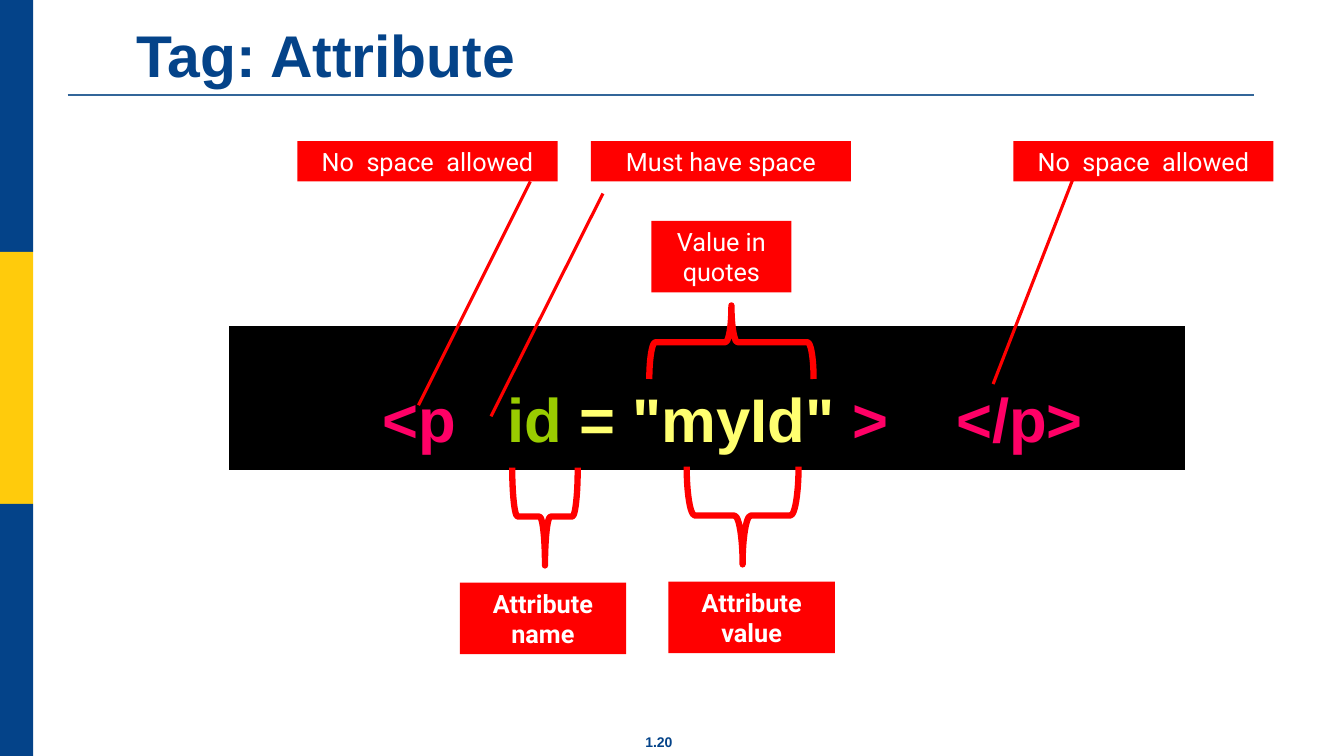
from pptx import Presentation
from pptx.dml.color import RGBColor
from pptx.enum.shapes import MSO_CONNECTOR, MSO_SHAPE
from pptx.enum.text import MSO_ANCHOR, MSO_AUTO_SIZE, PP_ALIGN
from pptx.oxml.ns import qn
from pptx.util import Inches, Pt
from lxml import etree

RECTANGLE, BRACE = MSO_SHAPE.RECTANGLE, MSO_SHAPE.RIGHT_BRACE
STRAIGHT = MSO_CONNECTOR.STRAIGHT
LEFT, CENTER = PP_ALIGN.LEFT, PP_ALIGN.CENTER
TOP, MIDDLE = MSO_ANCHOR.TOP, MSO_ANCHOR.MIDDLE
NO_FIT = MSO_AUTO_SIZE.NONE

COLORS = {
    "navy": "044389", "gold": "FFCB0C", "rule": "336699", "red": "FF0000",
    "white": "FFFFFF", "black": "000000", "pink": "FF0066",
    "green": "99CC00", "yellow": "FFFF70",
}


def color(name):
    return RGBColor.from_string(COLORS[name])


class SlideBuilder:
    """Holds the style and the page being drawn."""

    def __init__(self, page):
        self.page = page
        self.heading_font = "Arial"
        self.label_font = "Roboto"

    def style(self, font, name, size, tint, bold=False):
        font.name, font.size, font.bold = name, Pt(size), bold
        font.color.rgb = color(tint)

    def title(self, text, left, top, width, height):
        box = self.page.shapes.title
        box.left, box.top = Inches(left), Inches(top)
        box.width, box.height = Inches(width), Inches(height)
        frame = box.text_frame
        frame.text = text
        frame.word_wrap, frame.auto_size = False, NO_FIT
        frame.vertical_anchor = MIDDLE
        frame.margin_left = frame.margin_right = Inches(0.13)
        para = frame.paragraphs[0]
        para.alignment = LEFT
        self.style(para.font, self.heading_font, 42, "navy", True)

    def footer(self, text, left, top, width, height):
        box = self.page.shapes.add_textbox(
            Inches(left), Inches(top), Inches(width), Inches(height))
        frame = box.text_frame
        frame.text, frame.word_wrap = text, True
        para = frame.paragraphs[0]
        para.alignment = CENTER
        self.style(para.font, self.heading_font, 10, "navy", True)

    def block(self, left, top, width, height, tint):
        box = self.page.shapes.add_shape(
            RECTANGLE, Inches(left), Inches(top), Inches(width), Inches(height))
        box.shadow.inherit = False
        box.fill.solid()
        box.fill.fore_color.rgb = color(tint)
        box.line.fill.background()
        return box

    def label(self, text, left, top, width, height, bold=False):
        frame = self.block(left, top, width, height, "red").text_frame
        frame.text, frame.word_wrap = text, True
        frame.vertical_anchor = MIDDLE
        for para in frame.paragraphs:
            para.alignment = CENTER
            self.style(para.font, self.label_font, 18, "white", bold)

    def line(self, start, end, tint, weight):
        line = self.page.shapes.add_connector(
            STRAIGHT, *(Inches(value) for value in start + end))
        line.line.color.rgb = color(tint)
        line.line.width = Pt(weight)
        etree.SubElement(line._element.spPr, qn("a:effectLst"))

    def brace(self, left, top, width, height, rotation):
        brace = self.page.shapes.add_shape(
            BRACE, Inches(left), Inches(top), Inches(width), Inches(height))
        brace.rotation = rotation
        brace.shadow.inherit = False
        brace.fill.background()
        brace.line.color.rgb = color("red")
        brace.line.width = Pt(4.5)

    def code_table(self, parts, left, top, width, height):
        table = self.page.shapes.add_table(
            1, 1, Inches(left), Inches(top), Inches(width), Inches(height)).table
        cell = table.cell(0, 0)
        cell.fill.solid()
        cell.fill.fore_color.rgb = color("black")
        cell.vertical_anchor = TOP
        # Margins place the code low and slightly right of centre
        cell.margin_top, cell.margin_left = Inches(0.61), Inches(0.61)
        para = cell.text_frame.paragraphs[0]
        para.alignment = CENTER
        for text, tint in parts:
            span = para.add_run()
            span.text = text
            self.style(span.font, self.heading_font, 44, tint, True)


def main():
    deck = Presentation()
    deck.slide_width, deck.slide_height = Inches(13.33), Inches(7.5)
    slide = SlideBuilder(deck.slides.add_slide(deck.slide_layouts[5]))

    # Side band, title rule and page number
    for row, tint in enumerate(("navy", "gold", "navy")):
        slide.block(0, row * 2.5, 0.33, 2.5, tint)
    slide.line((0.67, 0.94), (12.44, 0.94), "rule", 1.5)
    slide.footer("1.20", 6.21, 7.23, 0.65, 0.27)
    slide.title("Tag: Attribute", 1.22, 0.12, 4.12, 0.84)

    # Code sample
    slide.code_table(
        [("<p   ", "pink"), ("id ", "green"),
         ("= \"myId\" ", "yellow"), (">    </p>", "pink")],
        2.27, 3.23, 9.49, 1.44)

    # Attribute parts below the code
    slide.brace(4.92, 4.8, 0.97, 0.65, 90)
    slide.brace(6.88, 4.56, 0.97, 1.11, 90)
    slide.label("Attribute\nname", 4.56, 5.78, 1.65, 0.71, bold=True)
    slide.label("Attribute\nvalue", 6.63, 5.77, 1.65, 0.71, bold=True)

    # Spacing rules above the code, each with its pointer
    for text, left, start, end in (
            ("No  space  allowed", 2.95, (5.26, 1.8), (4.15, 4.02)),
            ("No  space  allowed", 10.05, (10.71, 1.6), (9.85, 3.81)),
            ("Must have space", 5.86, (5.98, 1.92), (4.87, 4.13))):
        slide.label(text, left, 1.4, 2.58, 0.4)
        slide.line(start, end, "red", 2.25)

    # Quoted value
    slide.brace(6.89, 2.58, 0.73, 1.63, 270)
    slide.label("Value in quotes", 6.46, 2.19, 1.39, 0.71)

    deck.save("out.pptx")


if __name__ == "__main__":
    main()
